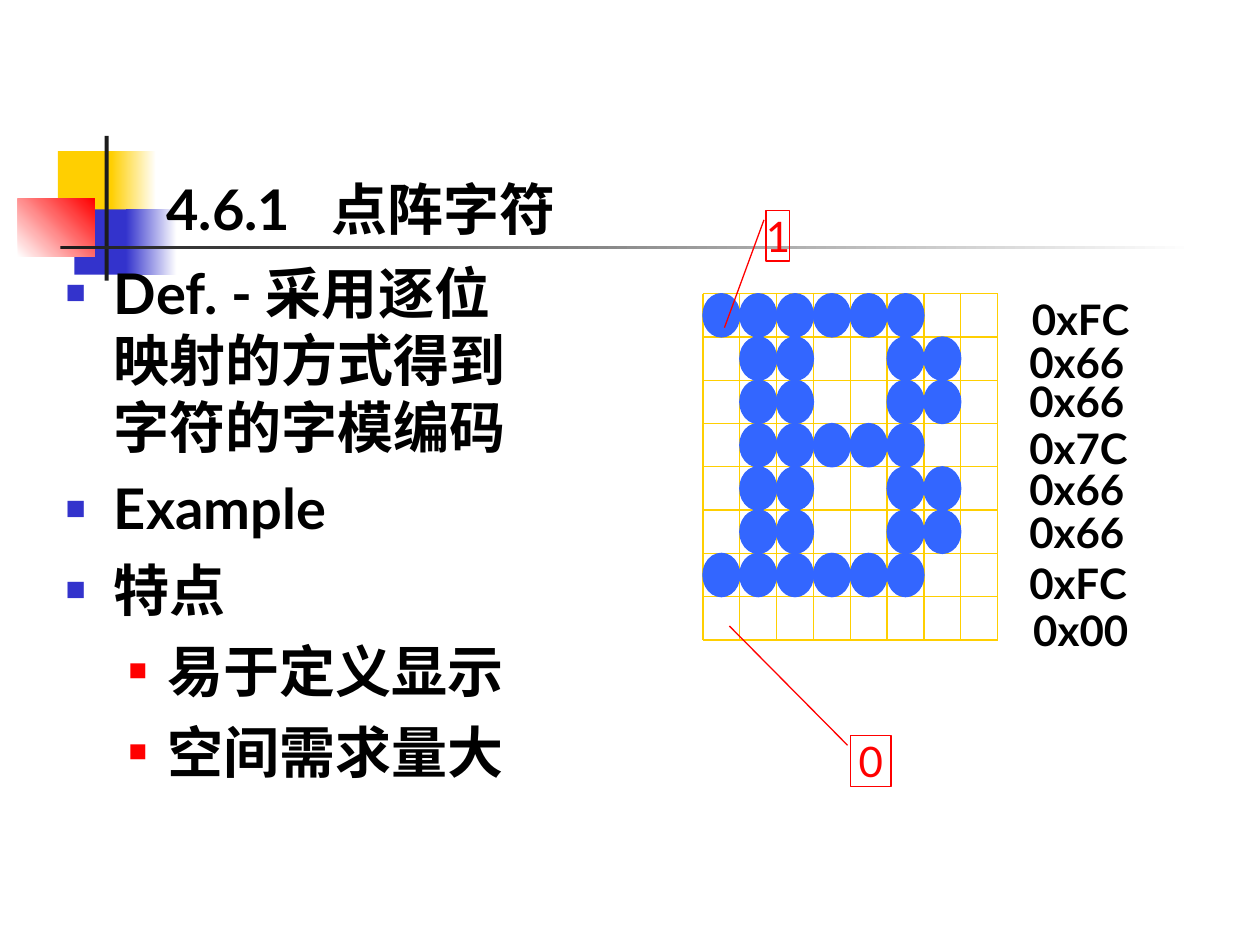
"""Build a slide that explains bitmap characters with an 8 by 8 dot matrix."""
from dataclasses import dataclass

from lxml.etree import SubElement
from pptx import Presentation
from pptx.dml.color import RGBColor
from pptx.enum.shapes import MSO_CONNECTOR, MSO_SHAPE
from pptx.enum.text import MSO_ANCHOR, MSO_AUTO_SIZE, PP_ALIGN
from pptx.oxml.ns import qn
from pptx.util import Cm, Pt


@dataclass(frozen=True)
class Theme:
    font: str = "Lato"
    bullet_font: str = "Arial"
    text: str = "000000"
    yellow: str = "FFCF01"
    blue: str = "3333CC"
    dot: str = "3366FF"
    red: str = "FF0000"
    dark: str = "1C1C1C"
    white: str = "FFFFFF"
    heading_size: int = 32
    label_size: int = 24
    hairline: float = 0.75


theme = Theme()


def color(value):
    return RGBColor.from_string(value)


def write(para, text, *, size, fill=theme.text, bold=False, align=PP_ALIGN.LEFT):
    para.alignment = align
    span = para.add_run()
    span.text = text
    span.font.name = theme.font
    span.font.size = Pt(size)
    span.font.bold = bold
    span.font.color.rgb = color(fill)


deck = Presentation()
deck.slide_width, deck.slide_height = Cm(25.4), Cm(19.05)
page = deck.slides.add_slide(deck.slide_layouts[1])
shapes = page.shapes
title, body = page.placeholders

ornaments = [
    (1.17, 3.05, 1.22, 1.32, [theme.yellow], 0),
    (2.24, 3.05, 0.91, 1.32, [theme.yellow, theme.white], 0),
    (1.5, 4.22, 1.17, 1.32, [theme.blue], 0),
    (2.54, 4.22, 1.02, 1.32, [theme.blue, theme.white], 0),
    (0.36, 4.01, 1.55, 1.17, [theme.white, theme.red], 45),
    (2.11, 2.74, 0.08, 2.92, [theme.dark], 0),
    (1.22, 4.95, 22.86, 0.08, [theme.dark, theme.white], 0),
]
for left, top, width, height, fills, angle in ornaments:
    box = shapes.add_shape(MSO_SHAPE.RECTANGLE, Cm(left), Cm(top), Cm(width), Cm(height))
    box.shadow.inherit = False
    box.line.fill.background()
    if len(fills) == 1:
        box.fill.solid()
        box.fill.fore_color.rgb = color(fills[0])
    else:
        box.fill.gradient()
        box.fill.gradient_angle = angle
        for stop, value in zip(box.fill.gradient_stops, fills):
            stop.color.rgb = color(value)

shapes._spTree.append(body._element)
body.left, body.top, body.width, body.height = Cm(1.07), Cm(5.08), Cm(9.96), Cm(12.55)
body.text_frame.auto_size = MSO_AUTO_SIZE.NONE
body.text_frame.vertical_anchor = MSO_ANCHOR.TOP
bullet_styles = [(0.97, 0.97, theme.blue, 60), (2.06, 0.79, theme.red, 55)]
points = [
    ("Def. - 采用逐位映射的方式得到字符的字模编码", 0),
    ("Example", 0),
    ("特点", 0),
    ("易于定义显示", 1),
    ("空间需求量大", 1),
]
for index, (text, level) in enumerate(points):
    para = body.text_frame.add_paragraph() if index else body.text_frame.paragraphs[0]
    margin, hanging, bullet_color, percent = bullet_styles[level]
    para.level = level
    para.space_before = Pt(8 if index else 0)
    properties = para._p.get_or_add_pPr()
    properties.set("marL", str(Cm(margin)))
    properties.set("indent", str(-Cm(hanging)))
    SubElement(SubElement(properties, qn("a:buClr")), qn("a:srgbClr"), val=bullet_color)
    SubElement(properties, qn("a:buSzPct"), val=str(percent * 1000))
    SubElement(properties, qn("a:buFont"), typeface=theme.bullet_font)
    SubElement(properties, qn("a:buChar"), char="■")
    write(para, text, size=theme.heading_size, bold=True)

row_codes = [
    ("0xFC", 20.8, 5.92, 1.98),
    ("0x66", 20.75, 6.78, 2.34),
    ("0x66", 20.75, 7.57, 2.54),
    ("0x7C", 20.75, 8.51, 2.34),
    ("0x66", 20.75, 9.35, 2.34),
    ("0x66", 20.75, 10.21, 2.34),
    ("0xFC", 20.75, 11.23, 2.54),
    ("0x00", 20.83, 12.19, 2.67),
]
count = len(row_codes)
grid_left, grid_top, grid_width, grid_height = Cm(14.17), Cm(5.92), Cm(5.94), Cm(6.98)
grid_right, grid_bottom = grid_left + grid_width, grid_top + grid_height
column_edges = [grid_left + grid_width * step // count for step in range(count + 1)]
row_edges = [grid_top + grid_height * step // count for step in range(count + 1)]
grid_lines = [(grid_left, y, grid_right, y) for y in row_edges]
grid_lines += [(x, grid_top, x, grid_bottom) for x in column_edges]
for ends in grid_lines:
    line = shapes.add_connector(MSO_CONNECTOR.STRAIGHT, *ends)
    line.line.color.rgb = color(theme.yellow)
    line.line.width = Pt(theme.hairline)
    SubElement(line._element.spPr, qn("a:effectLst"))

for (code, *_), y in zip(row_codes, row_edges):
    for bit, x in zip(f"{int(code, 16):08b}", column_edges):
        if bit == "1":
            dot = shapes.add_shape(MSO_SHAPE.OVAL, x, y, grid_width // count, grid_height // count)
            dot.shadow.inherit = False
            dot.fill.solid()
            dot.fill.fore_color.rgb = color(theme.dot)
            dot.line.color.rgb = color(theme.dot)
            dot.line.width = Pt(theme.hairline)

labels = []
callouts = [
    ("1", 15.44, 4.24, 0.48, (0.19, -0.08, 2.32, -1.74), False),
    ("0", 17.15, 14.83, 0.81, (0.19, -0.08, -2.17, -3.02), True),
]
for text, left, top, width, pointer, wrap in callouts:
    box = shapes.add_shape(MSO_SHAPE.LINE_CALLOUT_1, Cm(left), Cm(top), Cm(width), Cm(1.02))
    box.shadow.inherit = False
    box.fill.background()
    box.line.color.rgb = color(theme.red)
    box.line.width = Pt(theme.hairline)
    for index, value in enumerate(pointer):
        box.adjustments[index] = value
    labels.append((box, text, wrap, {"fill": theme.red, "align": PP_ALIGN.CENTER}))

for code, left, top, width in row_codes:
    box = shapes.add_textbox(Cm(left), Cm(top), Cm(width), Cm(1.02))
    labels.append((box, code, True, {"bold": True}))

for box, text, wrap, style in labels:
    frame = box.text_frame
    frame.margin_left = frame.margin_right = frame.margin_top = frame.margin_bottom = 0
    frame.word_wrap = wrap
    frame.auto_size = MSO_AUTO_SIZE.SHAPE_TO_FIT_TEXT
    frame.vertical_anchor = MSO_ANCHOR.MIDDLE
    write(frame.paragraphs[0], text, size=theme.label_size, **style)

shapes._spTree.append(title._element)
title.left, title.top, title.width, title.height = Cm(3.1), Cm(3.33), Cm(9.6), Cm(1.73)
title.text_frame.auto_size = MSO_AUTO_SIZE.NONE
title.text_frame.vertical_anchor = MSO_ANCHOR.MIDDLE
heading = title.text_frame.paragraphs[0]
tabs = SubElement(heading._p.get_or_add_pPr(), qn("a:tabLst"))
SubElement(tabs, qn("a:tab"), pos=str(Cm(3.33)), algn="l")
write(heading, "4.6.1\t点阵字符", size=theme.heading_size, bold=True)

deck.save("out.pptx")
